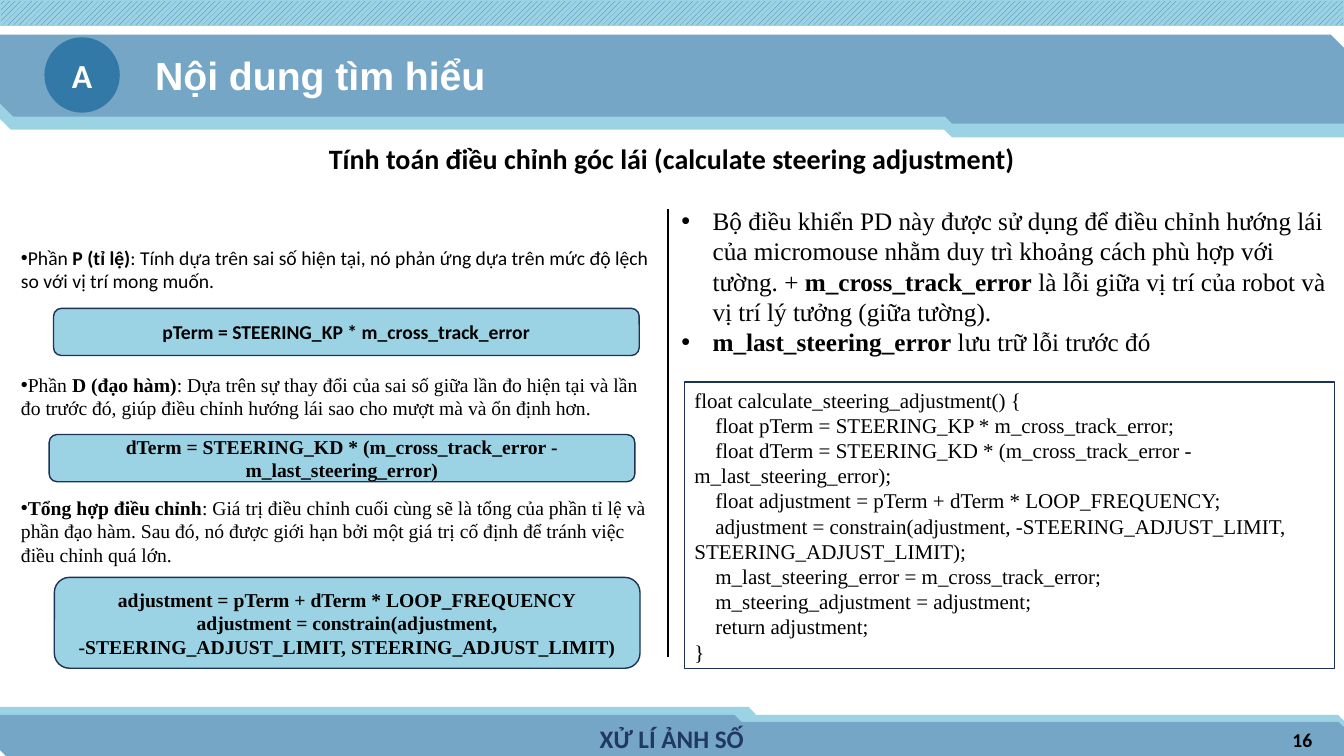
from lxml import etree
from pptx import Presentation
from pptx.dml.color import RGBColor
from pptx.enum.dml import MSO_PATTERN
from pptx.enum.shapes import MSO_CONNECTOR, MSO_SHAPE as SHAPE
from pptx.enum.text import MSO_ANCHOR as ANCHOR, PP_ALIGN as ALIGN
from pptx.oxml.ns import qn
from pptx.util import Cm, Pt

BLACK = RGBColor(0x00, 0x00, 0x00)
WHITE = RGBColor(0xFF, 0xFF, 0xFF)
LIGHT = RGBColor(0x9B, 0xD3, 0xE5)
MID = RGBColor(0x75, 0xA6, 0xC5)
DEEP = RGBColor(0x33, 0x79, 0xA7)
NAVY = RGBColor(0x1E, 0x32, 0x56)
FOOTER_NAVY = RGBColor(0x20, 0x38, 0x64)

SANS, SERIF, HEADING = "Calibri", "Times New Roman", "Arial"
WIDTH, HEIGHT = 33.87, 19.05

# Bands: left, top, width, height, colour, line width
FOOTER_BANDS = [
    (14.27, 18.03, 19.6, 0.97, LIGHT, 1),
    (0, 17.83, 19.02, 0.97, LIGHT, 1),
    (15.82, 18.21, 18.05, 0.84, MID, 1),
    (0, 18.03, 18.67, 1.02, MID, 1),
]
HEADER_BANDS = [
    (23.67, 1.47, 10.2, 1.98, LIGHT, 0.75),
    (0, 1.57, WIDTH, 1.68, LIGHT, 1),
    (0, 0.89, WIDTH, 2.03, MID, 1),
    (23.67, 1.12, 10.2, 1.98, MID, 0.75),
]

# Terms: note top, note height, note, note font, formula box, formula lines, formula font
TERMS = [
    (6.07, 1.45,
     "Phần **P (tỉ lệ)**: Tính dựa trên sai số hiện tại, nó phản ứng dựa trên "
     "mức độ lệch so với vị trí mong muốn.",
     SANS, (1.35, 7.77, 14.76, 1.19),
     ["pTerm = STEERING_KP * m_cross_track_error"]),
    (9.27, 1.45,
     "Phần **D (đạo hàm)**: Dựa trên sự thay đổi của sai số giữa lần đo hiện tại "
     "và lần đo trước đó, giúp điều chỉnh hướng lái sao cho mượt mà và ổn định hơn.",
     SERIF, (1.24, 10.95, 14.76, 1.19),
     ["dTerm = STEERING_KD * (m_cross_track_error - m_last_steering_error)"]),
    (12.37, 2.06,
     "**Tổng hợp điều chỉnh**: Giá trị điều chỉnh cuối cùng sẽ là tổng của phần "
     "tỉ lệ và phần đạo hàm. Sau đó, nó được giới hạn bởi một giá trị cố định để "
     "tránh việc điều chỉnh quá lớn.",
     SERIF, (1.37, 14.55, 14.76, 2.29),
     ["adjustment = pTerm + dTerm * LOOP_FREQUENCY",
      "adjustment = constrain(adjustment, -STEERING_ADJUST_LIMIT, STEERING_ADJUST_LIMIT)"]),
]

REMARKS = [
    "Bộ điều khiển PD này được sử dụng để điều chỉnh hướng lái của micromouse nhằm "
    "duy trì khoảng cách phù hợp với tường. + **m_cross_track_error** là lỗi giữa "
    "vị trí của robot và vị trí lý tưởng (giữa tường).",
    "**m_last_steering_error** lưu trữ lỗi trước đó",
]

CODE_BODY = [
    "float pTerm = STEERING_KP * m_cross_track_error;",
    "float dTerm = STEERING_KD * (m_cross_track_error - m_last_steering_error);",
    "float adjustment = pTerm + dTerm * LOOP_FREQUENCY;",
    "adjustment = constrain(adjustment, -STEERING_ADJUST_LIMIT, STEERING_ADJUST_LIMIT);",
    "m_last_steering_error = m_cross_track_error;",
    "m_steering_adjustment = adjustment;",
    "return adjustment;",
]
CODE = ["float calculate_steering_adjustment() {", *CODE_BODY, "}"]


def set_indent(p, margin, first):
    pPr = p._p.get_or_add_pPr()
    pPr.set("marL", str(Cm(margin)))
    pPr.set("indent", str(Cm(first)))
    return pPr


def add_bullet(p, hang=0):
    pPr = set_indent(p, hang, -hang)
    font = etree.Element(qn("a:buFont"), typeface="Arial")
    char = etree.Element(qn("a:buChar"), char="•")
    # Bullet settings stand before the default run properties
    for element in (font, char):
        pPr.find(qn("a:defRPr")).addprevious(element)


def write(sp, lines, size, font=SANS, color=BLACK, bold=False, align=ALIGN.LEFT,
          anchor=ANCHOR.TOP, inset=None):
    """Fill a shape with paragraphs; text between ** marks is bold."""
    tf = sp.text_frame
    tf.word_wrap = True
    tf.vertical_anchor = anchor
    if inset is not None:
        tf.margin_left = tf.margin_right = tf.margin_top = tf.margin_bottom = Cm(inset)
    for i, line in enumerate(lines):
        p = tf.add_paragraph() if i else tf.paragraphs[0]
        p.alignment = align
        p.font.size, p.font.name, p.font.bold = Pt(size), font, bold
        p.font.color.rgb = color
        for j, part in enumerate(line.split("**")):
            if part:
                r = p.add_run()
                r.text = part
                if j % 2:
                    r.font.bold = True
    return tf.paragraphs


def add_text(s, box, lines, size, **style):
    return write(s.shapes.add_textbox(*map(Cm, box)), lines, size, **style)


def add_box(s, kind, box, fill=None, line=None, width=1):
    sp = s.shapes.add_shape(kind, *map(Cm, box))
    sp.shadow.inherit = False
    if fill is None:
        sp.fill.background()
    else:
        sp.fill.solid()
        sp.fill.fore_color.rgb = fill
    if line is None:
        sp.line.fill.background()
    else:
        sp.line.color.rgb = line
        sp.line.width = Pt(width)
    return sp


def add_bands(s, bands):
    for *box, color, width in bands:
        add_box(s, SHAPE.SNIP_2_DIAG_RECTANGLE, box, color, color, width)


def add_hatched_strip(s, box):
    sp = add_box(s, SHAPE.RECTANGLE, box, line=LIGHT)
    sp.fill.patterned()
    sp.fill.pattern = MSO_PATTERN.WIDE_UPWARD_DIAGONAL
    sp.fill.fore_color.rgb = DEEP
    sp.fill.back_color.rgb = LIGHT


def add_divider(s, x, top, bottom):
    line = s.shapes.add_connector(MSO_CONNECTOR.STRAIGHT, Cm(x), Cm(top), Cm(x), Cm(bottom))
    line.line.color.rgb = BLACK
    line.line.width = Pt(1.5)
    etree.SubElement(line._element.spPr, qn("a:effectLst"))


def add_term(s, top, height, note, font, box, formula):
    for p in add_text(s, (0.28, top, 16.38, height), [note], 14, font=font):
        add_bullet(p)
    sp = add_box(s, SHAPE.ROUNDED_RECTANGLE, box, LIGHT, NAVY)
    write(sp, formula, 14, font=font, bold=True, align=ALIGN.CENTER, anchor=ANCHOR.MIDDLE)


def main():
    prs = Presentation()
    prs.slide_width, prs.slide_height = Cm(WIDTH), Cm(HEIGHT)
    s = prs.slides.add_slide(prs.slide_layouts[6])

    # Header and footer
    add_bands(s, FOOTER_BANDS + HEADER_BANDS)
    add_hatched_strip(s, (0, 0, WIDTH, 0.64))
    add_text(s, (12.5, 18.11, 8.86, 1.02), ["XỬ LÍ ẢNH SỐ"], 18, color=FOOTER_NAVY,
             bold=True, align=ALIGN.CENTER, anchor=ANCHOR.MIDDLE)
    add_text(s, (25.7, 18.14, 7.62, 1.02), ["16"], 14, bold=True, align=ALIGN.RIGHT,
             anchor=ANCHOR.MIDDLE)
    badge = add_box(s, SHAPE.OVAL, (1.12, 0.94, 1.9, 1.9), DEEP)
    write(badge, ["A"], 24, color=WHITE, bold=True, align=ALIGN.CENTER,
          anchor=ANCHOR.MIDDLE, inset=0.25)
    heading, = add_text(s, (3.66, 1.17, 10.64, 1.09), ["Nội dung tìm hiểu"], 28,
                        font=HEADING, color=WHITE, bold=True, inset=0.25)
    heading.line_spacing = 0.9

    # Topic
    add_text(s, (6.3, 3.45, 21.26, 1.12),
             ["Tính toán điều chỉnh góc lái (calculate steering adjustment)"], 20,
             bold=True, align=ALIGN.CENTER)

    # Left column: terms and their formulas
    for term in TERMS:
        add_term(s, *term)
    add_divider(s, 16.84, 5.26, 16.56)

    # Right column: remarks and code
    for p in add_text(s, (16.92, 5.05, 16.94, 4.11), REMARKS, 18, font=SERIF):
        add_bullet(p, hang=0.79)
    add_box(s, SHAPE.RECTANGLE, (17.25, 9.63, 16.38, 7.21), line=NAVY)
    code = add_text(s, (17.25, 9.63, 17.5, 7.95), CODE, 15, font=SERIF)
    for p in code[1:-1]:
        set_indent(p, 0, 0.53)

    prs.save("out.pptx")


if __name__ == "__main__":
    main()
